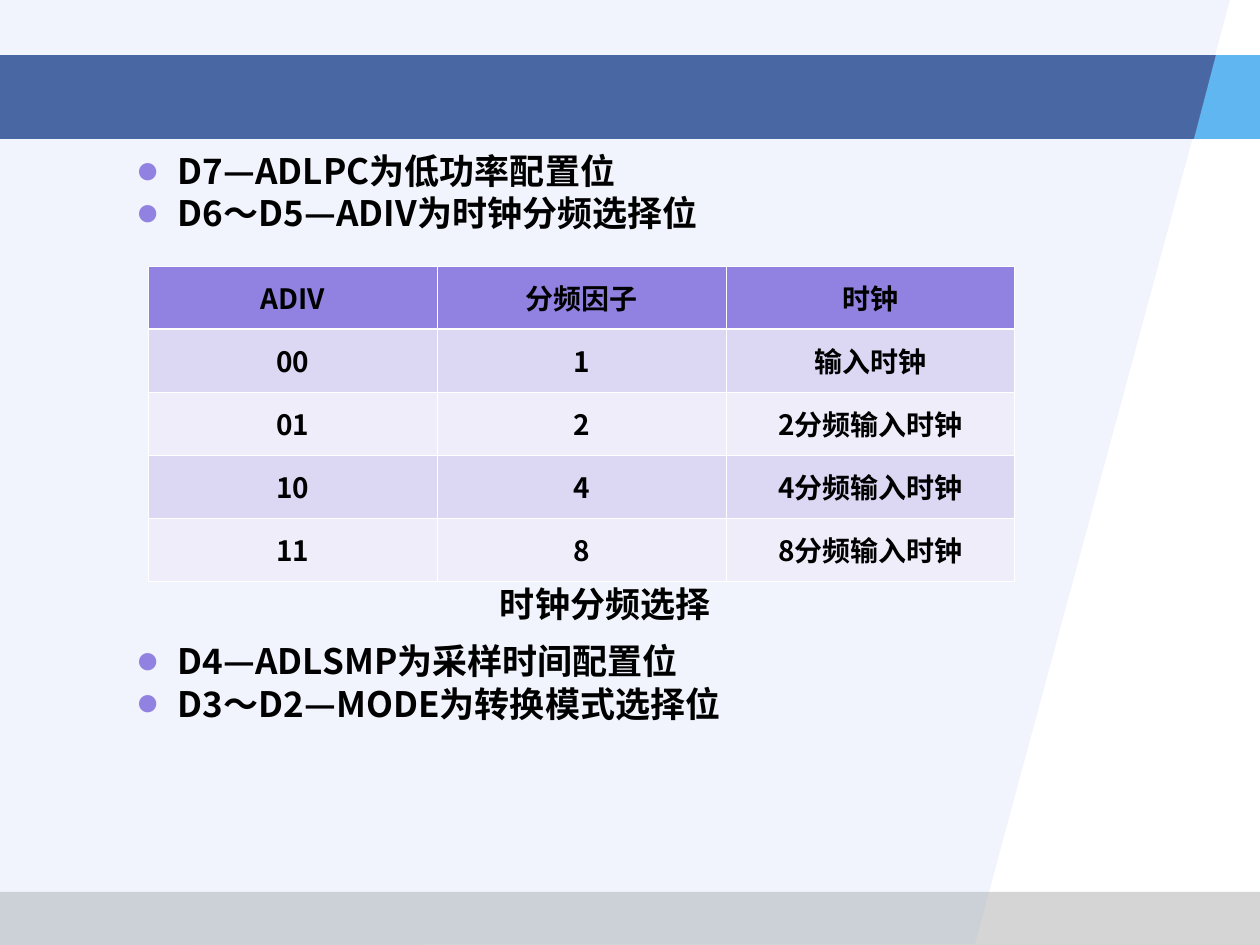
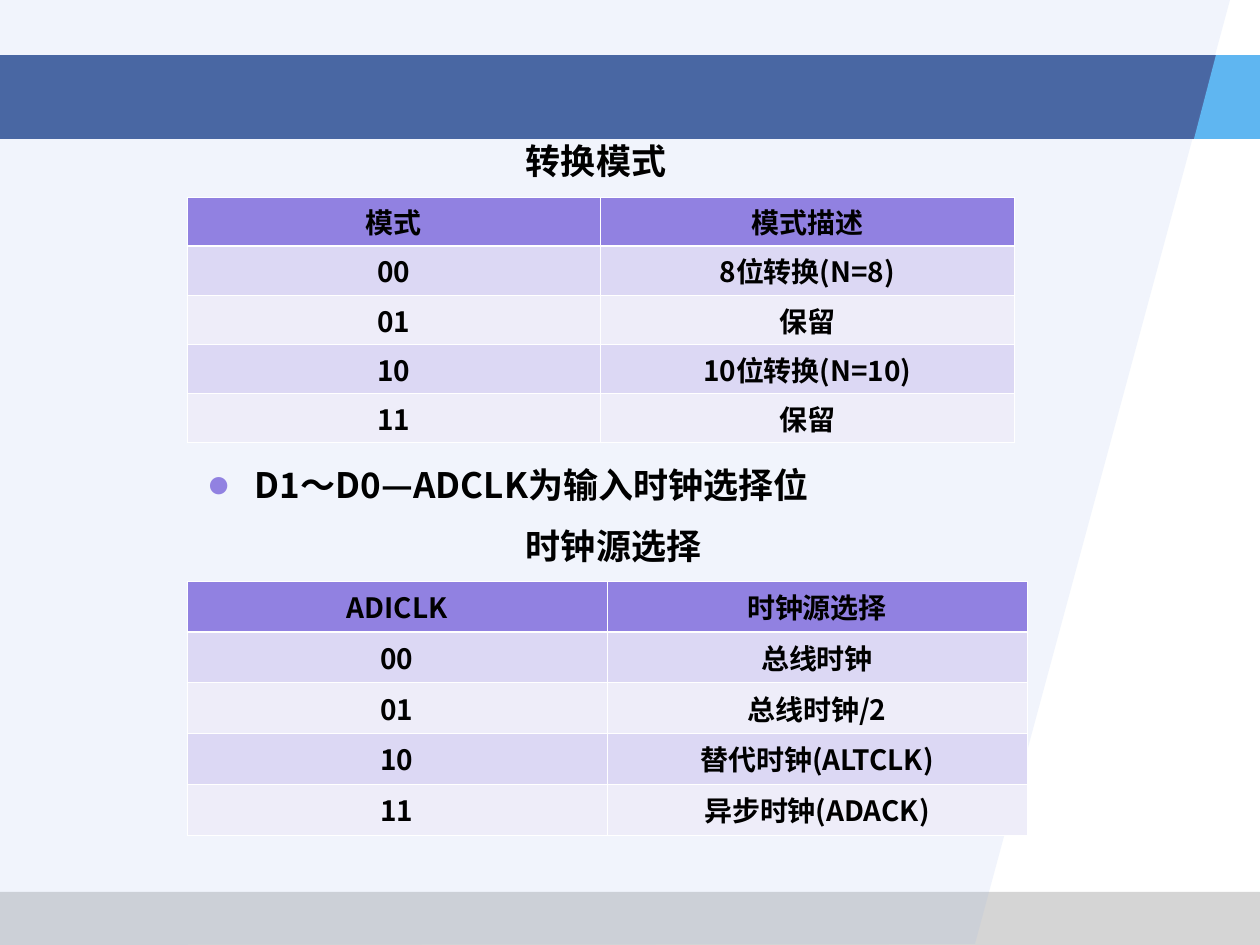
from dataclasses import dataclass

from pptx import Presentation
from pptx.dml.color import RGBColor
from pptx.enum.shapes import MSO_SHAPE
from pptx.enum.text import MSO_ANCHOR, MSO_AUTO_SIZE, PP_ALIGN
from pptx.oxml.ns import qn
from pptx.util import Emu, Pt
from lxml import etree

RECT = MSO_SHAPE.RECTANGLE
MIDDLE, TOP = MSO_ANCHOR.MIDDLE, MSO_ANCHOR.TOP
CENTER, LEFT = PP_ALIGN.CENTER, PP_ALIGN.LEFT
NO_FIT = MSO_AUTO_SIZE.NONE

PX = 914400 / 126  # one px in EMU
WIDE, HIGH = 1260, 945


@dataclass(frozen=True)
class Theme:
    font: str = "Noto Sans CJK SC"
    ink: str = "000000"
    white: str = "FFFFFF"
    foot: str = "969696"
    wash: str = "94B1EC"
    band: str = "173D89"
    tip: str = "5FB6F1"
    head: str = "9181E1"
    odd: str = "DCD8F4"
    even: str = "EEEDF9"
    text: int = 20
    cell: int = 16
    thin: float = 0.45
    thick: float = 1.47


T = Theme()


def px(num):
    return Emu(round(num * PX))


def rgb(code):
    return RGBColor.from_string(code)


def sub(node, tag, **attrs):
    return etree.SubElement(node, qn(tag), attrs)


# Text

def style(para, size):
    for run in para.runs:
        font = run.font
        font.name, font.size, font.bold = T.font, Pt(size), True
        font.color.rgb = rgb(T.ink)
        sub(font._element, "a:ea", typeface=T.font)


def bullet(para, left, hang):
    props = para._p.get_or_add_pPr()
    props.set("marL", str(px(left)))
    props.set("indent", str(-px(hang)))
    sub(sub(props, "a:buClr"), "a:srgbClr", val=T.head)
    sub(props, "a:buSzPct", val="55000")
    sub(props, "a:buFont", typeface=T.font)
    sub(props, "a:buChar", char="●")


def frame(shape, wrap):
    text = shape.text_frame
    text.word_wrap, text.auto_size = wrap, NO_FIT
    text.vertical_anchor = TOP
    text.margin_left = text.margin_right = px(13)
    text.margin_top = text.margin_bottom = px(2)
    return text


def points(slide, box, groups, left, hang, gap=0):
    """Bulleted groups in the body placeholder, gap points apart."""
    body = slide.placeholders[1]
    body.left, body.top, body.width, body.height = map(px, box)
    text = frame(body, True)
    text.text = "\n".join(line for group in groups for line in group)
    starts = {len(groups[0])} if len(groups) > 1 else set()
    for num, para in enumerate(text.paragraphs):
        bullet(para, left, hang)
        para.alignment = LEFT
        para.space_before = Pt(gap if num in starts else 0)
        style(para, T.text)


def caption(slide, box, words):
    text = frame(slide.shapes.add_textbox(*map(px, box)), False)
    text.text = words
    style(text.paragraphs[0], T.text)


# Tables

def border(cell, row):
    props = cell._tc.get_or_add_tcPr()
    heavy = {0: "a:lnB", 1: "a:lnT"}.get(row)
    for side in ("a:lnL", "a:lnR", "a:lnT", "a:lnB"):
        width = T.thick if side == heavy else T.thin
        line = sub(props, side, w=str(Pt(width)))
        sub(sub(line, "a:solidFill"), "a:srgbClr", val=T.white)


def grid(slide, box, rows):
    """Table with equal rows and columns that fill the box."""
    count, cols = len(rows), len(rows[0])
    table = slide.shapes.add_table(count, cols, *map(px, box)).table
    for col in table.columns:
        col.width = px(box[2] / cols)
    for r, row in enumerate(rows):
        table.rows[r].height = px(box[3] / count)
        for c, words in enumerate(row):
            cell = table.cell(r, c)
            border(cell, r)
            cell.fill.solid()
            shade = T.head if r == 0 else T.odd if r % 2 else T.even
            cell.fill.fore_color.rgb = rgb(shade)
            cell.vertical_anchor = MIDDLE
            cell.margin_top = cell.margin_bottom = px(3)
            cell.text = words
            para = cell.text_frame.paragraphs[0]
            para.alignment = CENTER
            style(para, T.cell)


# Shared backdrop

def paint(shape, code, alpha=100):
    shape.shadow.inherit = False
    shape.line.fill.background()
    shape.fill.solid()
    shape.fill.fore_color.rgb = rgb(code)
    if alpha < 100:
        color = next(shape.element.spPr.iter(qn("a:srgbClr")))
        sub(color, "a:alpha", val=str(alpha * 1000))
    return shape


def outline(shapes, spots):
    pen = shapes.build_freeform(*spots[0], scale=PX)
    pen.add_line_segments(spots[1:], close=True)
    return pen.convert_to_shape()


def bar(shapes, top, high):
    return shapes.add_shape(RECT, *map(px, (0, top, WIDE, high)))


def backdrop(slide):
    """Draw the bands, then move them to the layout."""
    shapes = slide.shapes
    top, end = 55, 139
    wash = [(0, 0), (1230, 0), (975, 944), (0, HIGH)]
    tip = [(1216, top), (1194, end), (WIDE, end), (WIDE, top)]
    parts = [
        paint(bar(shapes, 892, HIGH - 892), T.foot, 40),
        paint(outline(shapes, wash), T.wash, 13),
        paint(bar(shapes, top, end - top), T.band, 77),
        paint(outline(shapes, tip), T.tip),
    ]
    tree = slide.slide_layout.shapes.element
    for spot, part in enumerate(parts, 2):
        tree.insert(spot, part.element)


# Slides

def add(deck):
    slide = deck.slides.add_slide(deck.slide_layouts[1])
    title = slide.shapes.title.element
    title.getparent().remove(title)
    return slide


def divide(slide):
    points(slide, (63, 148, 1134, 724), [
        ["D7—ADLPC为低功率配置位", "D6～D5—ADIV为时钟分频选择位"],
        ["D4—ADLSMP为采样时间配置位", "D3～D2—MODE为转换模式选择位"],
    ], left=102, hang=39, gap=232)
    grid(slide, (148, 266, 867, 315), [
        ("ADIV", "分频因子", "时钟"),
        ("00", "1", "输入时钟"),
        ("01", "2", "2分频输入时钟"),
        ("10", "4", "4分频输入时钟"),
        ("11", "8", "8分频输入时钟"),
    ])
    caption(slide, (487, 581, 243, 55), "时钟分频选择")


def modes(slide):
    caption(slide, (513, 137, 165, 55), "转换模式")
    grid(slide, (187, 197, 827, 246), [
        ("模式", "模式描述"),
        ("00", "8位转换(N=8)"),
        ("01", "保留"),
        ("10", "10位转换(N=10)"),
        ("11", "保留"),
    ])
    points(slide, (197, 462, 808, 55),
           [["D1～D0—ADCLK为输入时钟选择位"]], left=45, hang=45)
    caption(slide, (513, 522, 200, 55), "时钟源选择")
    grid(slide, (187, 581, 840, 254), [
        ("ADICLK", "时钟源选择"),
        ("00", "总线时钟"),
        ("01", "总线时钟/2"),
        ("10", "替代时钟(ALTCLK)"),
        ("11", "异步时钟(ADACK)"),
    ])


def main():
    deck = Presentation()
    deck.slide_width, deck.slide_height = px(WIDE), px(HIGH)
    first = add(deck)
    backdrop(first)
    divide(first)
    modes(add(deck))
    deck.save("out.pptx")


if __name__ == "__main__":
    main()
